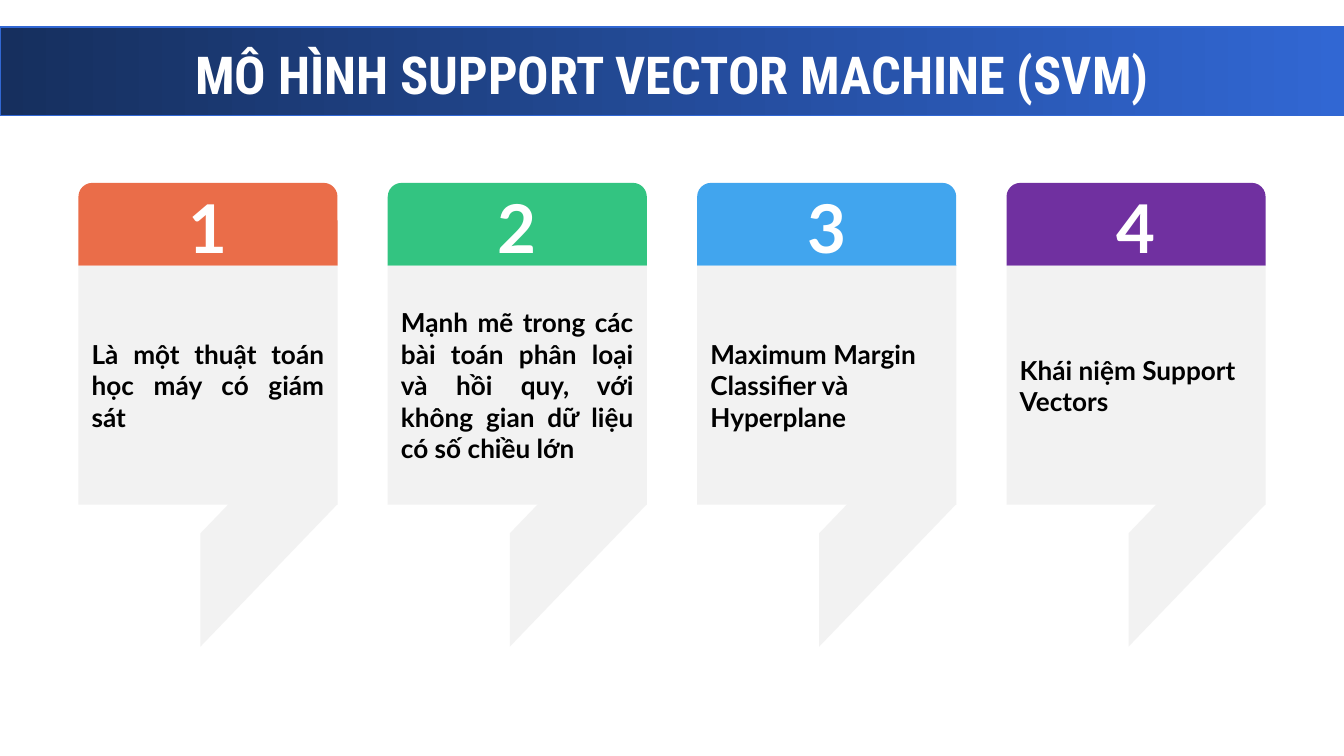
import pptx
import pptx.util
import pptx.dml.color
import pptx.enum.shapes
import pptx.enum.text

Pt = pptx.util.Pt
SHAPE = pptx.enum.shapes.MSO_SHAPE
ALIGN = pptx.enum.text.PP_ALIGN

SLIDE_WIDTH, SLIDE_HEIGHT = 720, 405
MARGIN = 42
CARD_TOP, CARD_WIDTH, CARD_HEIGHT = 98, 138.8, 248.4
HEADER_HEIGHT, BODY_HEIGHT = 44.4, 128
TAIL_WIDTH = 73.4

CARDS = [
    ("EA6D49", "Là một thuật toán học máy có giám sát", ALIGN.JUSTIFY),
    ("33C481", "Mạnh mẽ trong các bài toán phân loại và hồi quy, "
               "với không gian dữ liệu có số chiều lớn", ALIGN.JUSTIFY),
    ("41A5EE", "Maximum Margin Classifier và Hyperplane", ALIGN.LEFT),
    ("7030A0", "Khái niệm Support Vectors", ALIGN.LEFT),
]


def rgb(color):
    return pptx.dml.color.RGBColor.from_string(color)


def write(shape, text, size, color="000000", font="Lato", align=ALIGN.CENTER):
    """Put one bold, vertically centred paragraph into a shape."""
    frame = shape.text_frame
    frame.word_wrap = True
    frame.vertical_anchor = pptx.enum.text.MSO_ANCHOR.MIDDLE
    paragraph = frame.paragraphs[0]
    paragraph.alignment = align
    run = paragraph.add_run()
    run.text = text
    run.font.name = font
    run.font.size = Pt(size)
    run.font.bold = True
    run.font.color.rgb = rgb(color)


def add_block(slide, kind, left, top, width, height, fill=None, adjust=None):
    block = slide.shapes.add_shape(kind, Pt(left), Pt(top), Pt(width), Pt(height))
    block.shadow.inherit = False
    block.line.fill.background()
    if fill:
        block.fill.solid()
        block.fill.fore_color.rgb = rgb(fill)
    if adjust is not None:
        block.adjustments[0] = adjust
    return block


def add_banner(slide, left, top, width, height):
    # Gradient band
    band = add_block(slide, SHAPE.RECTANGLE, left, top, width, height)
    band.fill.gradient()
    band.fill.gradient_angle = 0
    for stop, color in zip(band.fill.gradient_stops, ("162F5E", "3167D3")):
        stop.color.rgb = rgb(color)
    band.line.color.rgb = rgb("3167D3")
    band.line.width = Pt(0.75)

    # Title
    title = slide.shapes.add_textbox(Pt(left + 36), Pt(top + 10), Pt(width - 72), Pt(29.6))
    frame = title.text_frame
    frame.margin_left = frame.margin_right = Pt(7.2)
    frame.margin_top = frame.margin_bottom = Pt(7.2)
    write(title, "MÔ HÌNH SUPPORT VECTOR MACHINE (SVM)", size=28,
          color="FFFFFF", font="Roboto Condensed")


def add_card(slide, left, top, width, height, number, color, text, align):
    body_top = top + HEADER_HEIGHT
    tail_top = body_top + BODY_HEIGHT

    # Numbered header
    header = add_block(slide, SHAPE.ROUND_2_SAME_RECTANGLE, left, top, width,
                       HEADER_HEIGHT, fill=color)
    write(header, str(number), size=36, color="FFFFFF")

    # Body text
    body = add_block(slide, SHAPE.ROUNDED_RECTANGLE, left, body_top, width,
                     BODY_HEIGHT, fill="F2F2F2", adjust=0)
    write(body, text, size=14, align=align)

    # Speech tail, flush with the right edge
    add_block(slide, SHAPE.DIAGONAL_STRIPE, left + width - TAIL_WIDTH, tail_top - 0.3,
              TAIL_WIDTH, top + height - tail_top + 0.3, fill="F2F2F2", adjust=0.205)


def main():
    deck = pptx.Presentation()
    deck.slide_width, deck.slide_height = Pt(SLIDE_WIDTH), Pt(SLIDE_HEIGHT)
    slide = deck.slides.add_slide(deck.slide_layouts[6])

    add_banner(slide, 0, 14.4, SLIDE_WIDTH, 47.4)
    pitch = (SLIDE_WIDTH - 2 * MARGIN - CARD_WIDTH) / (len(CARDS) - 1)
    for index, (color, text, align) in enumerate(CARDS):
        add_card(slide, MARGIN + index * pitch, CARD_TOP, CARD_WIDTH, CARD_HEIGHT,
                 index + 1, color, text, align)

    deck.save("out.pptx")


if __name__ == "__main__":
    main()
